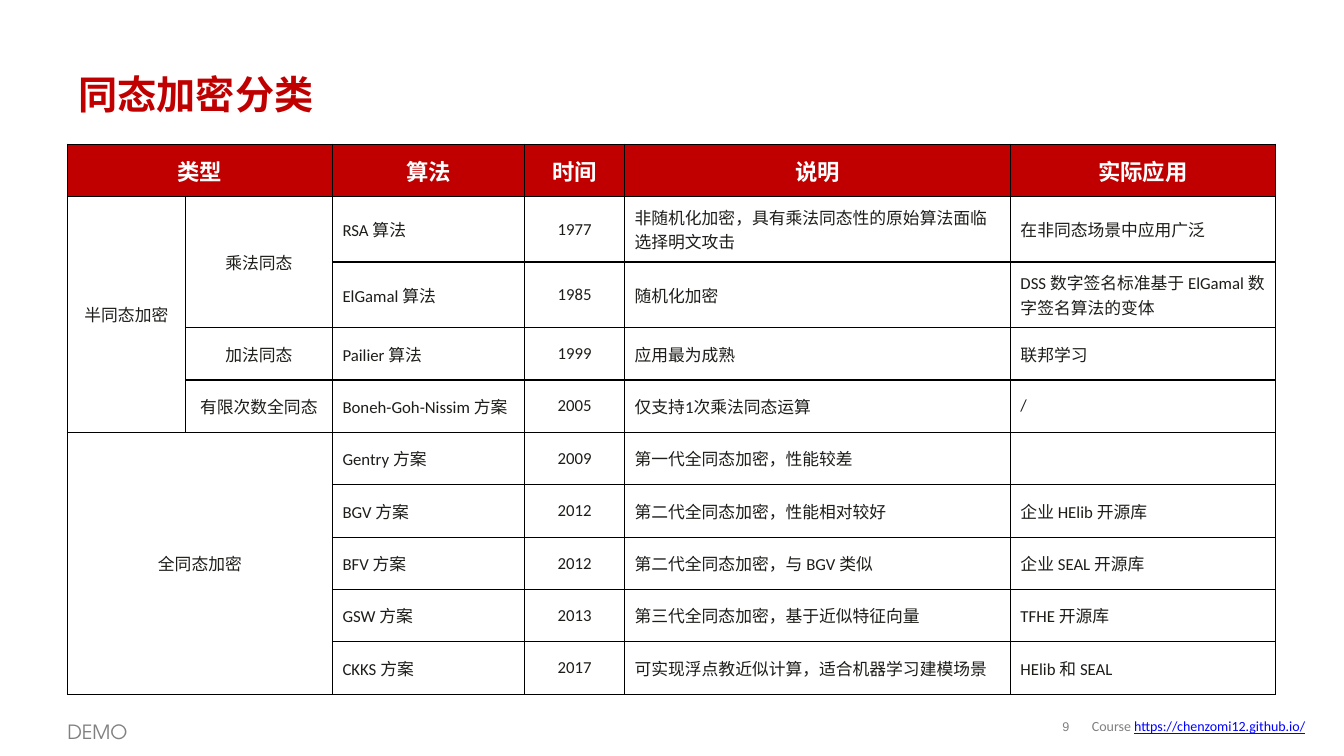
from dataclasses import dataclass

from lxml.etree import SubElement
from pptx import Presentation
from pptx.dml.color import RGBColor
from pptx.enum.lang import MSO_LANGUAGE_ID
from pptx.enum.text import MSO_ANCHOR, PP_ALIGN
from pptx.oxml.ns import qn
from pptx.util import Emu, Pt


@dataclass(frozen=True)
class Theme:
    red: str = "C00000"
    white: str = "FFFFFF"
    ink: str = "1D1D1A"
    grey: str = "808080"
    link: str = "0000FF"
    border: str = "000000"
    display_font: str = "TeX Gyre Adventor"
    body_font: str = "Calibri"
    number_font: str = "Arial"
    title_size: int = 28
    header_size: int = 16
    brand_size: int = 14
    cell_size: int = 12
    footer_size: int = 10
    number_size: int = 9


THEME = Theme()
PX = 9144  # 100 px to the inch

HEADERS = ["类型", "", "算法", "时间", "说明", "实际应用"]
SCHEMES = [
    ["半同态加密", "乘法同态", "RSA 算法", "1977",
     "非随机化加密，具有乘法同态性的原始算法面临选择明文攻击", "在非同态场景中应用广泛"],
    ["", "", "ElGamal 算法", "1985", "随机化加密",
     "DSS 数字签名标准基于 ElGamal 数字签名算法的变体"],
    ["", "加法同态", "Pailier 算法", "1999", "应用最为成熟", "联邦学习"],
    ["", "有限次数全同态", "Boneh-Goh-Nissim 方案", "2005", "仅支持1次乘法同态运算", "/"],
    ["全同态加密", "", "Gentry 方案", "2009", "第一代全同态加密，性能较差", ""],
    ["", "", "BGV 方案", "2012", "第二代全同态加密，性能相对较好", "企业 HElib 开源库"],
    ["", "", "BFV 方案", "2012", "第二代全同态加密，与 BGV 类似", "企业 SEAL 开源库"],
    ["", "", "GSW 方案", "2013", "第三代全同态加密，基于近似特征向量", "TFHE 开源库"],
    ["", "", "CKKS 方案", "2017", "可实现浮点教近似计算，适合机器学习建模场景", "HElib 和 SEAL"],
]
COLUMN_WIDTHS = [117, 146, 191, 99, 383, 263]
ROW_HEIGHTS = [52, 65, 65] + [52] * 7
MERGES = [((0, 0), (0, 1)), ((1, 0), (4, 0)), ((1, 1), (2, 1)), ((5, 0), (9, 1))]
CENTRED_COLUMNS = {0, 1, 3}


def emu(box):
    return [Emu(length * PX) for length in box]


def add_run(paragraph, text, font, size, color, bold=False, underline=False):
    run = paragraph.add_run()
    run.text = text
    run.font.name = font
    run.font.size = Pt(size)
    run.font.bold = bold
    run.font.underline = underline
    run.font.color.rgb = RGBColor.from_string(color)
    run.font.language_id = MSO_LANGUAGE_ID.SIMPLIFIED_CHINESE


def add_label(slide, box, anchor=MSO_ANCHOR.MIDDLE):
    frame = slide.shapes.add_textbox(*emu(box)).text_frame
    frame.word_wrap = True
    frame.vertical_anchor = anchor
    return frame


def place_title(slide, box):
    title = slide.shapes.title
    title.left, title.top, title.width, title.height = emu(box)
    title.text_frame.vertical_anchor = MSO_ANCHOR.MIDDLE
    heading = title.text_frame.paragraphs[0]
    heading.alignment = PP_ALIGN.LEFT
    add_run(heading, "同态加密分类", THEME.display_font, THEME.title_size, THEME.red, bold=True)


def draw_borders(cell):
    properties = cell._tc.get_or_add_tcPr()
    for side in ("a:lnL", "a:lnR", "a:lnT", "a:lnB"):
        line = SubElement(properties, qn(side), w=str(Pt(1)))
        fill = SubElement(line, qn("a:solidFill"))
        SubElement(fill, qn("a:srgbClr"), val=THEME.border)


def fill_cell(cell, text, is_header, centred):
    draw_borders(cell)
    cell.fill.solid()
    cell.fill.fore_color.rgb = RGBColor.from_string(THEME.red if is_header else THEME.white)
    cell.vertical_anchor = MSO_ANCHOR.MIDDLE
    if not text:
        return
    paragraph = cell.text_frame.paragraphs[0]
    paragraph.alignment = PP_ALIGN.CENTER if centred else PP_ALIGN.LEFT
    size = THEME.header_size if is_header else THEME.cell_size
    color = THEME.white if is_header else THEME.ink
    add_run(paragraph, text, THEME.body_font, size, color, bold=is_header)


def place_scheme_table(slide, left, top):
    box = (left, top, sum(COLUMN_WIDTHS), sum(ROW_HEIGHTS))
    schemes = slide.shapes.add_table(len(ROW_HEIGHTS), len(COLUMN_WIDTHS), *emu(box)).table
    for column, width in zip(schemes.columns, COLUMN_WIDTHS):
        column.width = Emu(width * PX)
    for row, height in zip(schemes.rows, ROW_HEIGHTS):
        row.height = Emu(height * PX)
    for first, last in MERGES:
        schemes.cell(*first).merge(schemes.cell(*last))
    for r, texts in enumerate([HEADERS] + SCHEMES):
        for c, text in enumerate(texts):
            fill_cell(schemes.cell(r, c), text, r == 0, r == 0 or c in CENTRED_COLUMNS)


def place_footer(slide, left, top):
    # Course label
    brand = add_label(slide, (left, top, 80, 36), MSO_ANCHOR.TOP).paragraphs[0]
    brand.line_spacing = 1.2
    add_run(brand, "DEMO", THEME.display_font, THEME.brand_size, THEME.grey)

    # Page number
    number_frame = add_label(slide, (left + 983, top + 1, 36, 31))
    number_frame.margin_left = number_frame.margin_right = 0
    number_frame.margin_top = number_frame.margin_bottom = 0
    number = number_frame.paragraphs[0]
    number.alignment = PP_ALIGN.CENTER
    number.line_spacing = 0.85
    add_run(number, "9", THEME.number_font, THEME.number_size, THEME.grey)

    # Course address
    course = add_label(slide, (left + 1017, top + 1, 246, 29)).paragraphs[0]
    add_run(course, "Course ", THEME.body_font, THEME.footer_size, THEME.grey)
    add_run(course, "https://chenzomi12.github.io/", THEME.body_font, THEME.footer_size,
            THEME.link, underline=True)


def main():
    deck = Presentation()
    deck.slide_width, deck.slide_height = emu((1334, 750))
    slide = deck.slides.add_slide(deck.slide_layouts[5])
    place_title(slide, (68, 61, 1199, 64))
    place_scheme_table(slide, 67, 143)
    place_footer(slide, 57, 705)
    deck.save("out.pptx")


if __name__ == "__main__":
    main()
